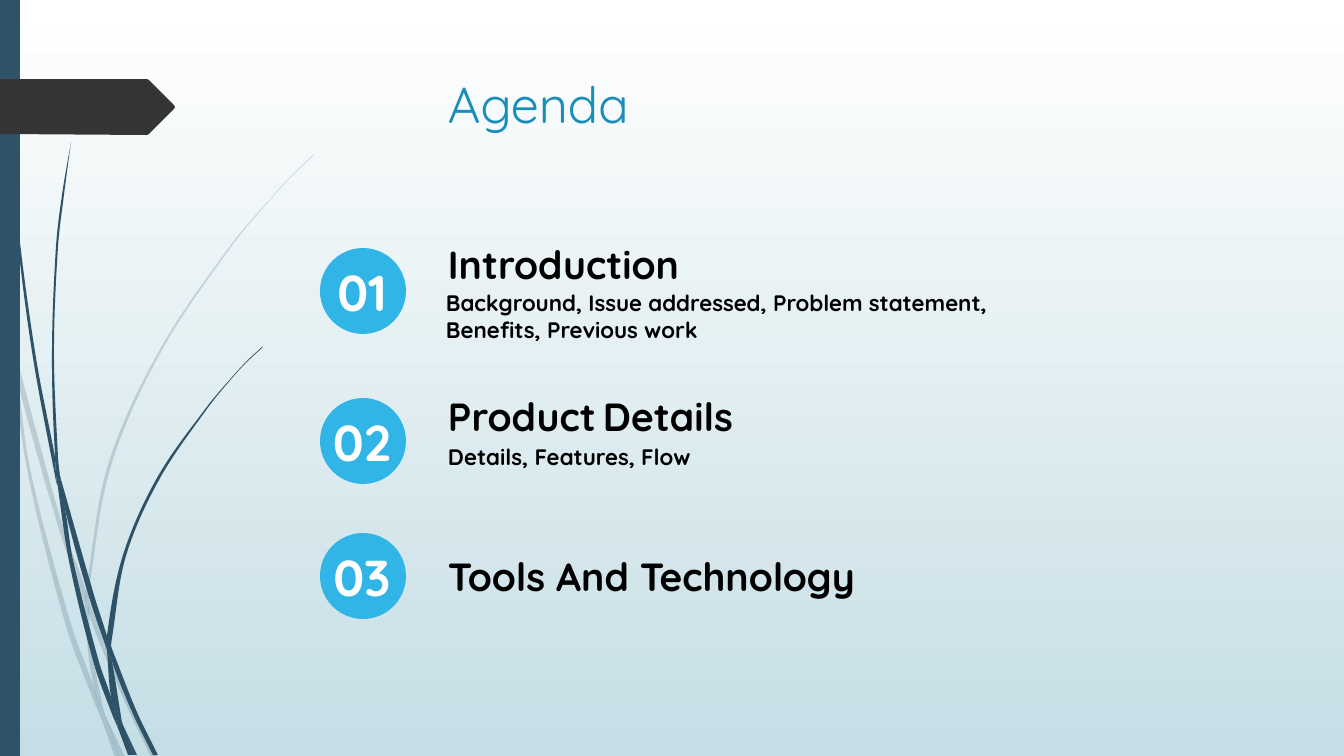
import math
import pptx
import pptx.util
import pptx.dml.color
import pptx.enum.shapes
import pptx.enum.text
import pptx.oxml
import pptx.oxml.ns
from dataclasses import dataclass
from lxml import etree

PX = 12192000 / 1344  # EMU in one pixel
SHAPE = pptx.enum.shapes.MSO_SHAPE
ALIGN = pptx.enum.text.PP_ALIGN
rgb = pptx.dml.color.RGBColor.from_string
qn = pptx.oxml.ns.qn


@dataclass(frozen=True)
class Theme:
    font: str = "Quicksand"
    stem: str = "2E5369"
    tag: str = "353535"
    title: str = "178DBB"
    circle: str = "31B4E6"
    text: str = "000000"
    white: str = "FFFFFF"
    sky: str = "C5DEE5"
    large: int = 36
    heading: int = 28
    gap: int = 18
    detail: int = 16


theme = Theme()


def paint(sp, color):
    """Give a shape a plain fill without line or shadow."""
    sp.shadow.inherit = False
    sp.fill.solid()
    sp.fill.fore_color.rgb = rgb(color)
    sp.line.fill.background()


def write(sp, text, size, color, bold=True, inset=12):
    """Put one styled paragraph into a shape and return the paragraph."""
    tf = sp.text_frame
    tf.word_wrap = True
    tf.auto_size = pptx.enum.text.MSO_AUTO_SIZE.NONE
    tf.margin_left = tf.margin_right = round(inset * PX)
    tf.margin_top = tf.margin_bottom = round(5 * PX)
    tf.vertical_anchor = pptx.enum.text.MSO_ANCHOR.TOP
    p = tf.paragraphs[0]
    p.text = text
    p.alignment = ALIGN.LEFT
    p.font.name = theme.font
    p.font.size = pptx.util.Pt(size)
    p.font.bold = bold
    p.font.color.rgb = rgb(color)
    return p


prs = pptx.Presentation()
prs.slide_width, prs.slide_height = round(1344 * PX), round(756 * PX)
s = prs.slides.add_slide(prs.slide_layouts[5])

bg = s.background.fill
bg.gradient()
bg.gradient_angle = 270
for stop, color in zip(bg.gradient_stops, (theme.white, theme.sky)):
    stop.color.rgb = rgb(color)

# Each stem piece is a closed ring of knots
pale_stems = [
    [(11, 353), (9, 325), (0, 284), (0, 301), (10, 347)],
    [(58, 526), (85, 604), (86, 591), (62, 524), (14, 348), (17, 379)],
    [(93, 612), (89, 601), (89, 615), (124, 700), (151, 757), (156, 757), (128, 698)],
    [(120, 757), (125, 757), (106, 717)],
    [(94, 688), (71, 624), (31, 473), (17, 379), (11, 353), (28, 474), (66, 626),
     (93, 699), (102, 720), (100, 713)],
    [(85, 604), (88, 651), (94, 688), (97, 698), (106, 717), (104, 712), (92, 651),
     (89, 615), (89, 613)],
    [(89, 589), (111, 466), (161, 352), (231, 247), (270, 200), (292, 176), (314, 155),
     (314, 154), (291, 176), (270, 199), (230, 246), (159, 351), (108, 465), (86, 589),
     (86, 591), (89, 601)],
    [(102, 720), (115, 757), (120, 757)],
    [(89, 613), (89, 615), (89, 601), (86, 591), (85, 604)],
    [(97, 698), (94, 688), (100, 713), (102, 720), (120, 757), (106, 717)],
]
dark_stems = [
    [(7, 111), (17, 235), (33, 358), (56, 481), (57, 485), (55, 461), (55, 457),
     (36, 358), (19, 234), (8, 110), (5, 48), (4, 0), (3, 0), (4, 48)],
    [(89, 597), (107, 650), (107, 638), (107, 636), (94, 595), (60, 476), (65, 509)],
    [(114, 654), (111, 646), (112, 661), (133, 714), (153, 755), (158, 755), (137, 712)],
    [(111, 697), (99, 662), (73, 560), (65, 509), (57, 481), (69, 561), (94, 664),
     (112, 714), (118, 728), (117, 723)],
    [(60, 476), (58, 457), (54, 352), (58, 247), (64, 195), (71, 142), (62, 195),
     (56, 247), (52, 352), (55, 453)],
    [(134, 755), (137, 755), (123, 725)],
    [(57, 481), (65, 509), (60, 476), (55, 453), (55, 457)],
    [(112, 638), (126, 556), (159, 480), (207, 409), (233, 377), (247, 362), (263, 347),
     (262, 347), (247, 361), (233, 376), (206, 408), (157, 478), (123, 555), (107, 636),
     (111, 646)],
    [(118, 728), (128, 755), (132, 755)],
    [(107, 650), (111, 697), (117, 712), (123, 725), (122, 722), (112, 661), (110, 656)],
    [(107, 650), (110, 656), (112, 661), (111, 646), (107, 636), (107, 638)],
    [(117, 712), (111, 697), (117, 723), (118, 728), (131, 755), (134, 755), (123, 725)],
]
SHARP = 0.75  # cosine of the turn below which a knot stays a corner
for opacity, pieces in ((20, pale_stems), (100, dark_stems)):
    for knots in pieces:
        slopes = []
        for a, b, c in zip(knots[-1:] + knots, knots, knots[1:] + knots[:1]):
            into, out = math.atan2(b[1] - a[1], b[0] - a[0]), math.atan2(c[1] - b[1], c[0] - b[0])
            if math.cos(out - into) < SHARP:
                slopes.append((into, out))
            else:
                slopes.append((math.atan2(c[1] - a[1], c[0] - a[0]),) * 2)
        controls = []
        for i, (x, y) in enumerate(knots):
            j = (i + 1) % len(knots)
            u, v = knots[j]
            reach = math.dist((x, y), (u, v)) / 3
            leave, arrive = slopes[i][1], slopes[j][0]
            controls += [
                (x + reach * math.cos(leave), y + reach * math.sin(leave)),
                (u - reach * math.cos(arrive), v - reach * math.sin(arrive)),
                (u, v)]
        builder = s.shapes.build_freeform(*(v * PX for v in knots[0]))
        builder.add_line_segments([(x * PX, y * PX) for x, y in controls], close=True)
        stem = builder.convert_to_shape()
        paint(stem, theme.stem)
        # Every three points in a row become one cubic curve
        lines = list(stem.element.iter(qn("a:lnTo")))
        for first, second, third in zip(lines[::3], lines[1::3], lines[2::3]):
            curve = etree.Element(qn("a:cubicBezTo"))
            first.addprevious(curve)
            for line in (first, second, third):
                curve.append(line[0])
                line.getparent().remove(line)
        if opacity < 100:
            clr = stem.element.spPr.find(".//" + qn("a:srgbClr"))
            etree.SubElement(clr, qn("a:alpha")).set("val", str(opacity * 1000))

bar = s.shapes.add_shape(SHAPE.RECTANGLE, 0, 0, round(20 * PX), prs.slide_height)
paint(bar, theme.stem)
builder = s.shapes.build_freeform(0, 79 * PX)
builder.add_line_segments([(x * PX, y * PX) for x, y in (
    (147, 79), (149, 80), (174, 105), (175, 107), (174, 109), (149, 134), (147, 135),
    (0, 134))], close=True)
tag = builder.convert_to_shape()
paint(tag, theme.tag)

title = s.shapes.title
title.left, title.top, title.width, title.height = (
    round(v * PX) for v in (438, 68, 855, 141))
write(title, "Agenda", theme.large, theme.title, bold=False, inset=10)

# Circle top, heading top and heading, then detail left, top, height and text
agenda = [
    (248, 235, "Introduction", (436, 284, 64,
     "Background, Issue addressed, Problem statement, Benefits, Previous work")),
    (398, 387, "Product Details", (438, 438, 37, "Details, Features, Flow")),
    (533, 547, "Tools And Technology", None),
]
for number, (circle_top, heading_top, heading, detail) in enumerate(agenda, 1):
    if detail:
        x, y, height, text = detail
        box = s.shapes.add_textbox(*(round(v * PX) for v in (x, y, 564, height)))
        write(box, text, theme.detail, theme.text, inset=10)

    box = s.shapes.add_textbox(*(round(v * PX) for v in (436, heading_top, 564, 57)))
    p = write(box, heading, theme.heading, theme.text)
    if heading == "Product Details":
        p.text = ""
        for word in ("Product", " ", "Details"):
            r = p.add_run()
            r.text = word
            r.font.size = pptx.util.Pt(theme.gap if word == " " else theme.heading)

    circle = s.shapes.add_shape(
        SHAPE.OVAL, *(round(v * PX) for v in (320, circle_top, 86, 86)))
    paint(circle, theme.circle)
    box = s.shapes.add_textbox(
        *(round(v * PX) for v in (309, circle_top + 8, 106, 72)))
    p = write(box, f"{number:02}", theme.large, theme.white)
    p.alignment = ALIGN.CENTER

prs.save("out.pptx")
